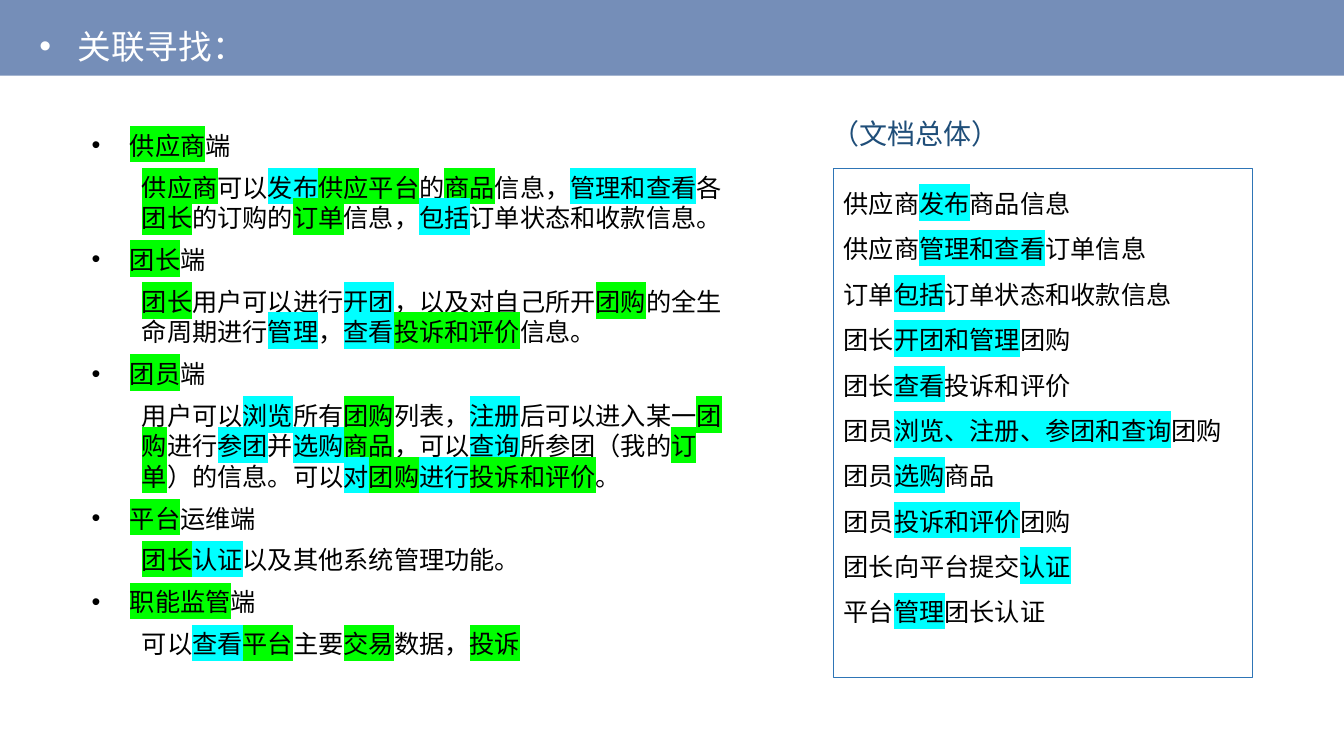
import dataclasses

import lxml.etree
import pptx
import pptx.dml.color
import pptx.enum.shapes
import pptx.enum.text
import pptx.oxml.ns
import pptx.util

PX = 9144


@dataclasses.dataclass(frozen=True)
class Theme:
    """Colours, font and type sizes of the slide."""
    font: str = "Noto Sans CJK SC"
    band: str = "758EB8"
    title: str = "FFFFFF"
    caption: str = "1F4E79"
    frame: str = "2E75B6"
    text: str = "000000"
    entity: str = "00FF00"
    action: str = "00FFFF"
    title_size: int = 24
    caption_size: int = 20
    text_size: int = 18


THEME = Theme()
MARKS = {"+": THEME.entity, "*": THEME.action}

ROLES = [
    ("+供应商|端",
     "+供应商|可以|*发布|+供应平台|的|+商品|信息，|*管理和查看|各|+团长|的订购的|+订单|信息，|*包括|订单状态和收款信息。"),
    ("+团长|端",
     "+团长|用户可以进行|*开团|，以及对自己所开|+团购|的全生命周期进行|*管理|，|*查看|+投诉和评价|信息。"),
    ("+团员|端",
     "用户可以|*浏览|所有|+团购|列表，|*注册|后可以进入某一|+团购|进行|*参团|并|*选购|+商品|，可以|*查询"
     "|所参团（我的|+订单|）的信息。可以|*对|+团购|*进行|+投诉和评价|。"),
    ("+平台|运维端", "+团长|*认证|以及其他系统管理功能。"),
    ("+职能监管|端", "可以|*查看|+平台|主要|+交易|数据，|+投诉"),
]

RELATIONS = [
    "供应商|*发布|商品信息",
    "供应商|*管理和查看|订单信息",
    "订单|*包括|订单状态和收款信息",
    "团长|*开团和管理|团购",
    "团长|*查看|投诉和评价",
    "团员|*浏览、注册、参团和查询|团购",
    "团员|*选购|商品",
    "团员|*投诉和评价|团购",
    "团长向平台提交|*认证",
    "平台|*管理|团长认证",
]


def rgb(value):
    """Return a colour object for a hex string."""
    return pptx.dml.color.RGBColor.from_string(value)


def place(box):
    """Turn a box in px into EMU lengths."""
    return [pptx.util.Emu(length * PX) for length in box]


def add_node(parent, tag, **attributes):
    """Append a DrawingML element with the given attributes."""
    return lxml.etree.SubElement(parent, pptx.oxml.ns.qn(tag), attributes)


def add_runs(para, marked, size, color):
    """Write marked text run by run, highlighting entities and actions."""
    for part in marked.split("|"):
        span = para.add_run()
        span.text = part.lstrip("+*")
        span.font.size = pptx.util.Pt(size)
        span.font.color.rgb = rgb(color)
        properties = span.font.fill._xPr
        if part[0] in MARKS:
            highlight = add_node(properties, "a:highlight")
            add_node(highlight, "a:srgbClr", val=MARKS[part[0]])
        span.font.name = THEME.font
        add_node(properties, "a:ea", typeface=THEME.font)


def indent(para, margin, bullet=False):
    """Indent a paragraph in px, with an optional hanging bullet."""
    properties = para._p.get_or_add_pPr()
    properties.set("marL", str(margin * PX))
    properties.set("indent", str(-margin * PX if bullet else 0))
    if bullet:
        add_node(properties, "a:buFont", typeface="Arial")
        add_node(properties, "a:buChar", char="•")


def prepare(shape):
    """Wrap the text of a shape from its top edge and return the frame."""
    frame = shape.text_frame
    frame.word_wrap = True
    frame.auto_size = pptx.enum.text.MSO_AUTO_SIZE.NONE
    frame.vertical_anchor = pptx.enum.text.MSO_ANCHOR.TOP
    return frame


def paragraphs(frame, count):
    """Yield the first paragraph of a frame and then new ones."""
    yield frame.paragraphs[0]
    for _ in range(count - 1):
        yield frame.add_paragraph()


def add_rectangle(page, box):
    """Add a rectangle without a shadow."""
    shape = page.shapes.add_shape(pptx.enum.shapes.MSO_SHAPE.RECTANGLE, *place(box))
    shape.shadow.inherit = False
    return shape


def add_header(page, box):
    """Place the band and the bulleted title over it."""
    left, top, width, height = box
    band = add_rectangle(page, box)
    band.fill.solid()
    band.fill.fore_color.rgb = rgb(THEME.band)
    band.line.fill.background()
    title = page.shapes.title
    title.element.addprevious(band.element)
    title.left, title.top, title.width, title.height = place((left + 39, top + 21, 224, 50))
    frame = prepare(title)
    frame.margin_left = 0
    para = frame.paragraphs[0]
    para.alignment = pptx.enum.text.PP_ALIGN.JUSTIFY
    indent(para, 38, bullet=True)
    add_runs(para, "关联寻找：", THEME.title_size, THEME.title)


def add_roles(page, box):
    """List each role as a bullet with its description beneath."""
    frame = prepare(page.shapes.add_textbox(*place(box)))
    lines = paragraphs(frame, 2 * len(ROLES))
    for role in ROLES:
        for marked, margin, bullet in zip(role, (38, 50), (True, False)):
            para = next(lines)
            para.space_after = pptx.util.Pt(8.4)
            indent(para, margin, bullet)
            add_runs(para, marked, THEME.text_size, THEME.text)


def add_relations(page, box):
    """Place the caption and the framed list of relations below it."""
    left, top, width, height = box
    caption = prepare(page.shapes.add_textbox(*place((left - 12, top, width + 46, 44))))
    add_runs(caption.paragraphs[0], "（文档总体）", THEME.caption_size, THEME.caption)
    panel = add_rectangle(page, (left, top + 56, width, height - 56))
    panel.fill.background()
    panel.line.color.rgb = rgb(THEME.frame)
    panel.line.width = pptx.util.Pt(0.75)
    frame = prepare(panel)
    for para, marked in zip(paragraphs(frame, len(RELATIONS)), RELATIONS):
        para.alignment = pptx.enum.text.PP_ALIGN.LEFT
        para.line_spacing = 1.5
        add_runs(para, marked, THEME.text_size, THEME.text)


def main():
    """Build the slide and save the deck."""
    deck = pptx.Presentation()
    deck.slide_width, deck.slide_height = place((1333, 750))
    page = deck.slides.add_slide(deck.slide_layouts[5])
    add_header(page, (0, 0, 1333, 75))
    add_relations(page, (827, 111, 415, 561))
    add_roles(page, (81, 124, 667, 576))
    deck.save("out.pptx")


if __name__ == "__main__":
    main()
